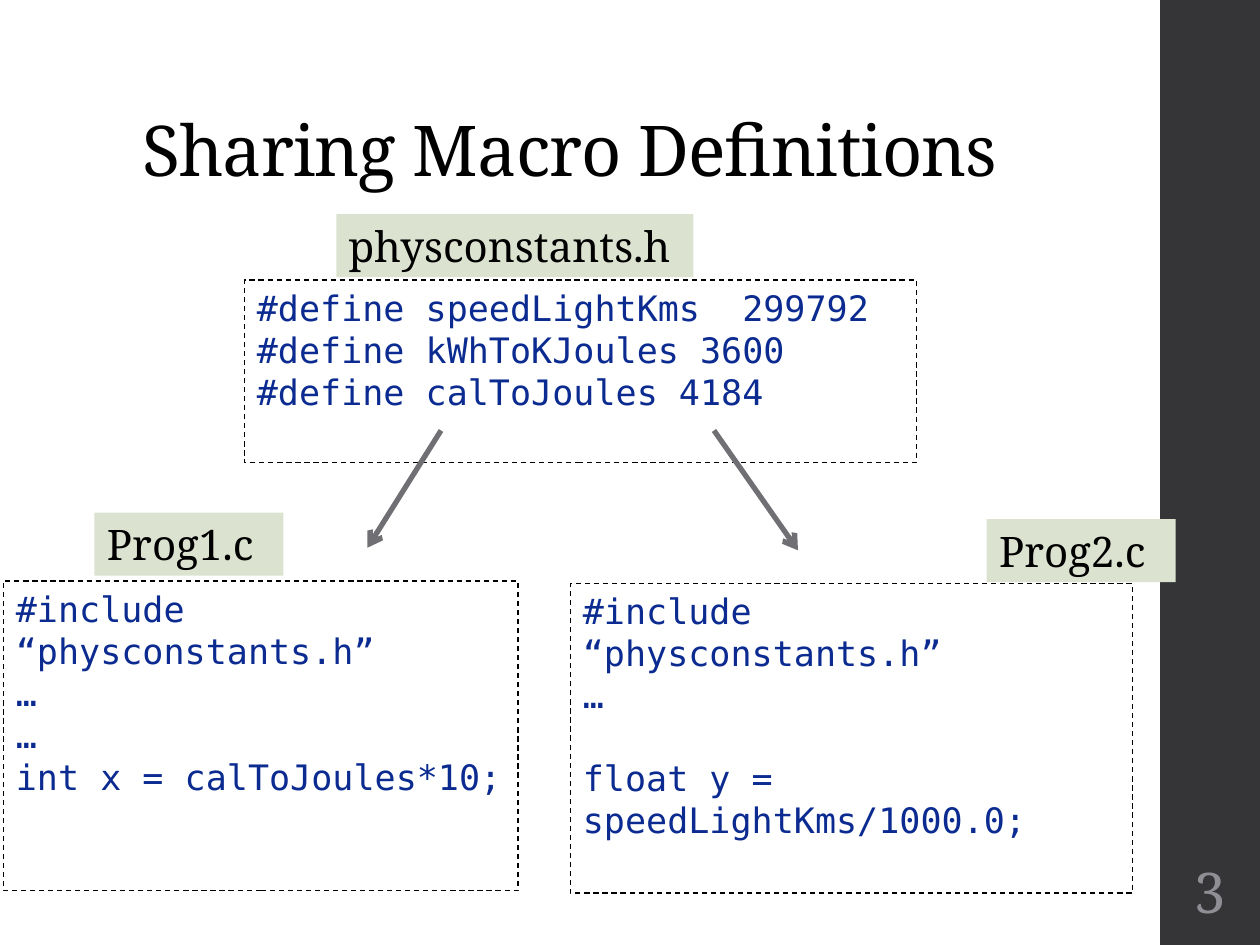
from lxml import etree
from pptx import Presentation
from pptx.dml.color import RGBColor
from pptx.enum.dml import MSO_LINE
from pptx.enum.shapes import MSO_CONNECTOR, MSO_SHAPE
from pptx.enum.text import MSO_ANCHOR, MSO_AUTO_SIZE, PP_ALIGN
from pptx.oxml.ns import qn
from pptx.util import Pt

SERIF = "Noto Serif"
MONO = "DejaVu Sans Mono"
BLANK_LINE = 23.5


def color(hex_value):
    return RGBColor.from_string(hex_value)


def write(shape, lines, size, font, ink, align=PP_ALIGN.LEFT, anchor=MSO_ANCHOR.TOP):
    frame = shape.text_frame
    frame.word_wrap = True
    frame.auto_size = MSO_AUTO_SIZE.NONE
    frame.vertical_anchor = anchor
    for index, line in enumerate(lines):
        paragraph = frame.add_paragraph() if index else frame.paragraphs[0]
        paragraph.alignment = align
        run = paragraph.add_run()
        run.text = line
        run.font.size = Pt(size)
        run.font.name = font
        run.font.color.rgb = color(ink)
    return frame


def add_box(slide, box, fill=None, dashed=False):
    shape = slide.shapes.add_shape(MSO_SHAPE.RECTANGLE, *map(Pt, box))
    shape.shadow.inherit = False
    if fill:
        shape.fill.solid()
        shape.fill.fore_color.rgb = color(fill)
    else:
        shape.fill.background()
    if dashed:
        shape.line.color.rgb = color("000000")
        shape.line.width = Pt(0.75)
        shape.line.dash_style = MSO_LINE.DASH
    else:
        shape.line.fill.background()
    return shape


def add_title(slide, box, text):
    title = slide.shapes.title
    title.left, title.top, title.width, title.height = map(Pt, box)
    frame = write(title, [text], 40, SERIF, "000000", anchor=MSO_ANCHOR.BOTTOM)
    paragraph = frame.paragraphs[0]
    paragraph.line_spacing = 0.9
    paragraph.runs[0].font._element.set("spc", "-50")


def add_sidebar(slide, box, number):
    left, top, width, height = box
    add_box(slide, box, fill="353537")
    label = slide.shapes.add_textbox(
        Pt(left + 1.5), Pt(top + height - 54), Pt(width - 3), Pt(46.8))
    frame = write(label, [number], 32, SERIF, "8E8E94",
                  PP_ALIGN.CENTER, MSO_ANCHOR.MIDDLE)
    frame.margin_left = frame.margin_right = Pt(2)


def add_source_file(slide, box, name, code, tab_offset, tab_width=108):
    left, top = box[:2]
    dx, dy = tab_offset
    listing = add_box(slide, box, dashed=True)
    tab = add_box(slide, (left + dx, top + dy, tab_width, 36), fill="DCE2D0")
    write(tab, [name], 24, SERIF, "000000")
    return write(listing, code, 20, MONO, "0B2B91")


def add_arrow(slide, start, end):
    arrow = slide.shapes.add_connector(
        MSO_CONNECTOR.STRAIGHT, *map(Pt, start + end))
    arrow.line.color.rgb = color("6F6F74")
    arrow.line.width = Pt(3)
    etree.SubElement(arrow.line._get_or_add_ln(), qn("a:tailEnd"), type="arrow")
    etree.SubElement(arrow._element.spPr, qn("a:effectLst"))


def build_slide(prs):
    slide = prs.slides.add_slide(prs.slide_layouts[5])
    add_sidebar(slide, (663, 0, 57, 540), "3")
    add_title(slide, (74, 8.6, 572.5, 104.4), "Sharing Macro Definitions")
    add_source_file(
        slide, (139.7, 160, 384, 104.4), "physconstants.h",
        ["#define speedLightKms  299792",
         "#define kWhToKJoules 3600",
         "#define calToJoules 4184"],
        (52.5, -37.6), 204)
    include = "#include “physconstants.h”"
    add_source_file(
        slide, (2, 332, 294, 177), "Prog1.c",
        [include, "…", "…", "int x = calToJoules*10;"], (52, -39))
    second = add_source_file(
        slide, (326, 333.4, 321, 177), "Prog2.c",
        [include, "…", "float y = speedLightKms/1000.0;"], (237.8, -36.7))
    second.paragraphs[-1].space_before = Pt(BLANK_LINE)
    add_arrow(slide, (252, 246), (210, 313))
    add_arrow(slide, (408, 246), (456, 314.5))


prs = Presentation()
prs.slide_width, prs.slide_height = Pt(720), Pt(540)
build_slide(prs)
prs.save("out.pptx")
